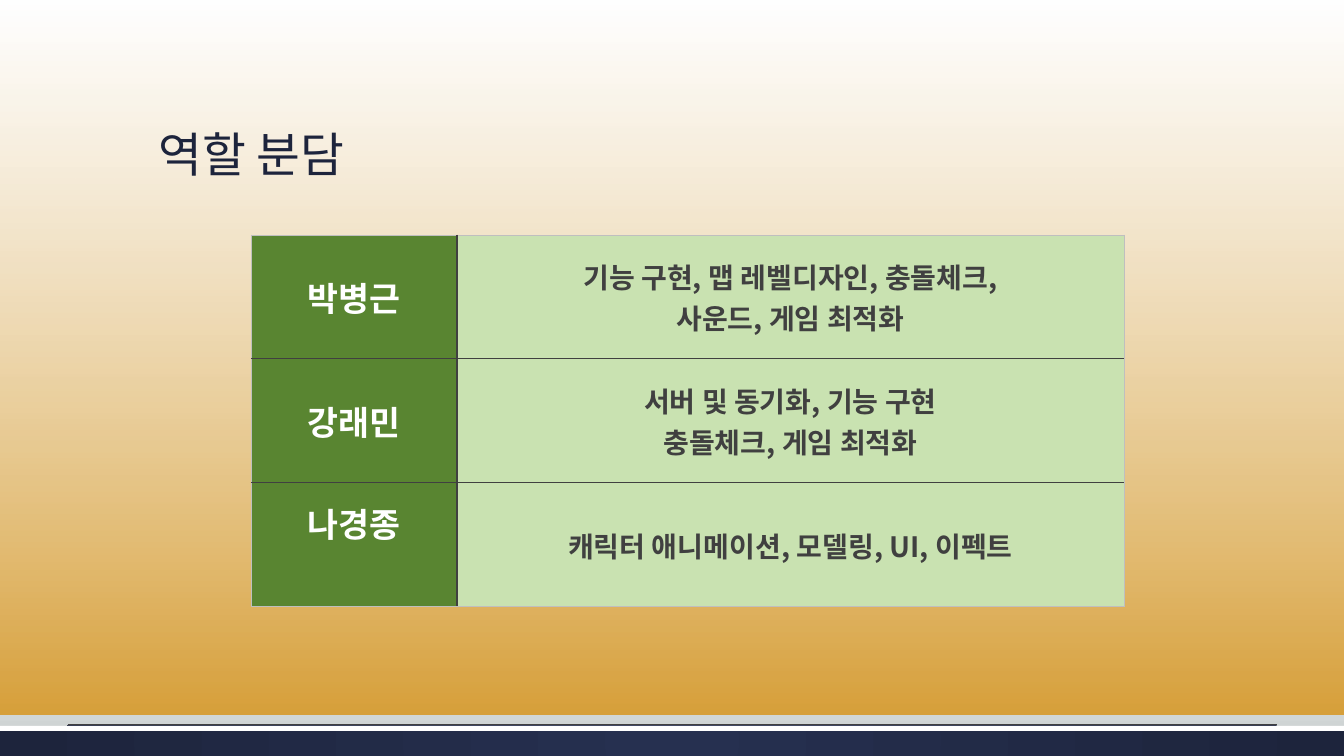
"""Build the role assignment slide with its table of team members and tasks."""
from dataclasses import dataclass

from lxml.etree import SubElement
from pptx import Presentation
from pptx.dml.color import RGBColor
from pptx.enum.shapes import MSO_CONNECTOR as Line, MSO_SHAPE as Shape
from pptx.enum.text import MSO_ANCHOR as Anchor, PP_ALIGN as Align
from pptx.oxml.ns import qn
from pptx.util import Inches, Pt


@dataclass(frozen=True)
class Theme:
    font: str = "Noto Sans CJK KR"
    navy: str = "1D243C"
    navy_light: str = "263050"
    white: str = "FFFFFF"
    mist: str = "E5E8E8"
    silver: str = "CDD2D2"
    amber: str = "DA8C00"
    ink: str = "404040"
    edge: str = "BFBFBF"
    green: str = "598531"
    pale_green: str = "C9E2B1"
    title_size: int = 34
    name_size: int = 24
    task_size: int = 20


class RoleSlide:
    def __init__(self, deck, theme):
        self.theme = theme
        self.slide = deck.slides.add_slide(deck.slide_layouts[5])
        self.shapes = self.slide.shapes

    def gradient(self, fill, owner, stops, radial=False):
        fill.gradient()
        grad = next(owner.iter(qn("a:gradFill")))
        for child in list(grad):
            grad.remove(child)
        stop_list = SubElement(grad, qn("a:gsLst"))
        for position, color, opacity in stops:
            stop = SubElement(stop_list, qn("a:gs"), pos=str(position * 1000))
            tint = SubElement(stop, qn("a:srgbClr"), val=color)
            if opacity < 100:
                SubElement(tint, qn("a:alpha"), val=str(opacity * 1000))
        if radial:
            focus = SubElement(grad, qn("a:path"), {"path": "circle"})
            SubElement(focus, qn("a:fillToRect"), dict.fromkeys("ltrb", "50000"))
        else:
            SubElement(grad, qn("a:lin"), ang="5400000", scaled="0")

    def background(self, stops):
        self.gradient(self.slide.background.fill, self.slide.element, stops)

    def band(self, box, color=None, stops=None, radial=False):
        band = self.shapes.add_shape(Shape.RECTANGLE, *map(Inches, box))
        band.shadow.inherit = False
        band.line.fill.background()
        if stops:
            self.gradient(band.fill, band.element, stops, radial)
        else:
            band.fill.solid()
            band.fill.fore_color.rgb = RGBColor.from_string(color)

    def rule(self, left, right, y):
        ends = map(Inches, (left, y, right, y))
        rule = self.shapes.add_connector(Line.STRAIGHT, *ends)
        rule.line.width = Pt(0.75)
        rule.line.color.rgb = RGBColor.from_string(self.theme.ink)
        SubElement(rule.element.spPr, qn("a:effectLst"))

    def set_text(self, frame, lines, size, color, bold, align, spacing=1.0):
        frame.text = "\n".join(lines)
        for paragraph in frame.paragraphs:
            paragraph.alignment = align
            paragraph.line_spacing = spacing
            for run in paragraph.runs:
                style = {"name": self.theme.font, "size": Pt(size), "bold": bold}
                for key, value in style.items():
                    setattr(run.font, key, value)
                run.font.color.rgb = RGBColor.from_string(color)
                properties = run._r.get_or_add_rPr()
                SubElement(properties, qn("a:ea"), typeface=self.theme.font)

    def title(self, text, box):
        title = self.shapes.title
        for key, value in zip(("left", "top", "width", "height"), box):
            setattr(title, key, Inches(value))
        frame = title.text_frame
        frame.vertical_anchor = Anchor.BOTTOM
        self.set_text(frame, [text], self.theme.title_size, self.theme.navy,
                      False, Align.LEFT, 0.9)
        self.shapes._spTree.append(title.element)

    def borders(self, cell, sides):
        properties = cell._tc.get_or_add_tcPr()
        for side, (color, width) in sides.items():
            line = SubElement(properties, qn(f"a:ln{side}"), w=str(Pt(width)))
            SubElement(SubElement(line, qn("a:solidFill")), qn("a:srgbClr"), val=color)

    def role_table(self, roles, left, top, widths, row_height):
        theme = self.theme
        last = len(roles) - 1
        outer, divider, row_line = (theme.edge, 0.5), (theme.ink, 1.5), (theme.ink, 1)
        size = map(Inches, (left, top, sum(widths), row_height * len(roles)))
        table = self.shapes.add_table(len(roles), len(widths), *size).table
        table.first_row = table.horz_banding = False
        for column, width in zip(table.columns, widths):
            column.width = Inches(width)
        looks = ((theme.name_size, theme.white, theme.green),
                 (theme.task_size, theme.ink, theme.pale_green))
        for row, (name, tasks, name_lift) in enumerate(roles):
            table.rows[row].height = Inches(row_height)
            for column, lines in enumerate(([name], tasks)):
                cell = table.cell(row, column)
                text_size, color, fill = looks[column]
                self.borders(cell, {
                    "L": divider if column else outer,
                    "R": outer if column else divider,
                    "T": row_line if row else outer,
                    "B": row_line if row < last else outer,
                })
                cell.fill.solid()
                cell.fill.fore_color.rgb = RGBColor.from_string(fill)
                cell.vertical_anchor = Anchor.MIDDLE
                self.set_text(cell.text_frame, lines, text_size, color, True,
                              Align.CENTER)
            table.cell(row, 0).margin_bottom = Inches(0.05 + name_lift)


def main():
    theme = Theme()
    deck = Presentation()
    deck.slide_width, deck.slide_height = Inches(13.33), Inches(7.5)
    page = RoleSlide(deck, theme)
    page.background([(0, theme.white, 100), (72, theme.mist, 100),
                     (100, theme.silver, 100)])
    page.band((0, 7.2, 13.33, 0.3), radial=True,
              stops=[(0, theme.navy_light, 100), (100, theme.navy, 100)])
    page.band((0, 7.2, 13.33, 0.05), theme.white)
    page.rule(0.67, 12.67, 7.19)
    page.band((0, 0, 13.33, 7.09),
              stops=[(0, theme.white, 51), (100, theme.amber, 73)])
    page.title("역할 분담", (1.47, 0.51, 10.4, 1.35))
    roles = [
        ("박병근", ["기능 구현, 맵 레벨디자인, 충돌체크,", "사운드, 게임 최적화"], 0),
        ("강래민", ["서버 및 동기화, 기능 구현", "충돌체크, 게임 최적화"], 0),
        ("나경종", ["캐릭터 애니메이션, 모델링, UI, 이펙트"], 0.44),
    ]
    page.role_table(roles, 2.49, 2.33, (2.04, 6.62), 1.23)
    deck.save("out.pptx")


if __name__ == "__main__":
    main()
